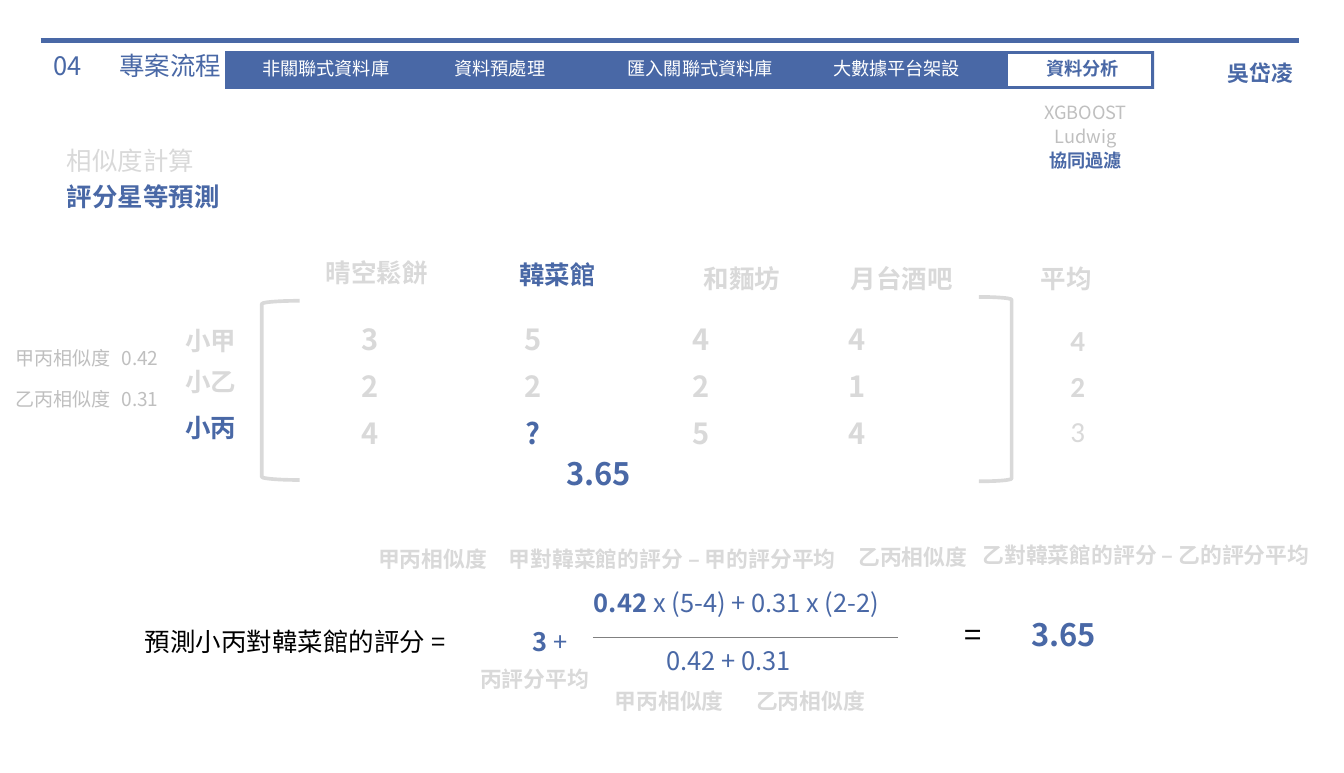
from lxml.etree import SubElement
from pptx import Presentation
from pptx.dml.color import RGBColor
from pptx.enum.shapes import MSO_CONNECTOR, MSO_SHAPE
from pptx.enum.text import MSO_ANCHOR, MSO_AUTO_SIZE, PP_ALIGN
from pptx.oxml.ns import qn
from pptx.util import Pt

PX = 9144  # 100 px to the inch
FONT = "Noto Sans CJK SC"
BLUE = RGBColor(0x49, 0x68, 0xA6)
PALE = RGBColor(0xD9, 0xD9, 0xD9)
SILVER = RGBColor(0xBF, 0xBF, 0xBF)
GRAY = RGBColor(0x80, 0x80, 0x80)
BLACK = RGBColor(0, 0, 0)
WHITE = RGBColor(0xFF, 0xFF, 0xFF)
LEFT, CENTER = PP_ALIGN.LEFT, PP_ALIGN.CENTER
ACTIVE = dict(color=BLUE, bold=True)


def px(*values):
    return [v * PX for v in values]


def write(tf, paras, size=12, color=PALE, bold=False, font=FONT,
          align=LEFT, spacing=1.0, tab=None):
    """Each paragraph is a list of (text, run format) pairs."""
    tf.word_wrap = True
    tf.vertical_anchor = MSO_ANCHOR.TOP
    for i, runs in enumerate(paras):
        p = tf.paragraphs[0] if i == 0 else tf.add_paragraph()
        pPr = p._p.get_or_add_pPr()
        pPr.set("marL", "0")
        pPr.set("indent", "0")
        SubElement(pPr, qn("a:buNone"))
        if tab:
            tabs = SubElement(pPr, qn("a:tabLst"))
            SubElement(tabs, qn("a:tab"), pos=str(tab * PX), algn="l")
        p.alignment, p.line_spacing = align, spacing
        p.space_before = p.space_after = Pt(0)
        for text, fmt in runs:
            r = p.add_run()
            r.text = text
            r.font.name = fmt.get("font", font)
            r.font.size = Pt(size)
            r.font.bold = fmt.get("bold", bold)
            r.font.color.rgb = fmt.get("color", color)
            SubElement(r._r.get_or_add_rPr(), qn("a:ea"), typeface=font)


def text(s, x, y, w, h, *paras, **fmt):
    tb = s.shapes.add_textbox(*px(x, y, w, h))
    write(tb.text_frame, [[(p, {})] if isinstance(p, str) else p for p in paras], **fmt)


def label(s, cx, y, words, **fmt):
    """One line centred on cx."""
    text(s, cx - 80, y, 160, 30, words, align=CENTER, **fmt)


def placeholder(sp, x, y, w, h, paras, **fmt):
    sp.left, sp.top, sp.width, sp.height = px(x, y, w, h)
    sp.text_frame.auto_size = MSO_AUTO_SIZE.NONE
    write(sp.text_frame, paras, **fmt)


def line(s, x1, x2, y, color, width):
    cn = s.shapes.add_connector(MSO_CONNECTOR.STRAIGHT, *px(x1, y, x2, y))
    cn.line.color.rgb, cn.line.width = color, Pt(width)
    SubElement(cn._element.spPr, qn("a:effectLst"))


def shape(s, kind, x, y, w, h, fill=None, outline=None, width=1):
    sp = s.shapes.add_shape(kind, *px(x, y, w, h))
    sp.shadow.inherit = False
    if fill is None:
        sp.fill.background()
    else:
        sp.fill.solid()
        sp.fill.fore_color.rgb = fill
    if outline is None:
        sp.line.fill.background()
    else:
        sp.line.color.rgb, sp.line.width = outline, Pt(width)


def header(s, x, y, w):
    line(s, x, x + w, y, BLUE, 3)
    placeholder(s.shapes.title, x, y + 2, 150, 34, [[("04\t專案流程", {})]],
                size=14, color=BLUE, tab=35)
    text(s, x + 885, y + 10, 94, 30, "吳岱凌", size=12, align=CENTER, **ACTIVE)

    # Step bar with the current step in white
    shape(s, MSO_SHAPE.RECTANGLE, x + 141, y + 8, 710, 29, BLUE)
    shape(s, MSO_SHAPE.RECTANGLE, x + 739, y + 10, 110, 25, WHITE, BLUE, 0.75)
    steps = {"非關聯式資料庫": 218, "資料預處理": 351, "匯入關聯式資料庫": 504, "大數據平台架設": 654}
    for step, cx in steps.items():
        label(s, x + cx, y + 8, step, size=10, color=WHITE)
    label(s, x + 796, y + 8, "資料分析", size=10, **ACTIVE)

    # Methods of the current step
    text(s, x + 747, y + 40, 103, 65, "XGBOOST", "Ludwig", [("協同過濾", ACTIVE)],
         size=10, color=SILVER, align=CENTER, spacing=1.1)


def topics(s, x, y):
    placeholder(s.placeholders[1], x, y, 158, 66,
                [[("相似度計算", {})], [("評分星等預測", ACTIVE)]], size=14, spacing=1.2)


def ratings(s, x, y):
    # Similarity to the predicted user
    for i, (pair, value) in enumerate([("甲丙相似度", "0.42"), ("乙丙相似度", "0.31")]):
        top = y + 68 + 31 * i
        text(s, x, top, 110, 29, pair, size=10.5, color=SILVER)
        label(s, x + 105, top, value, size=10.5, color=SILVER)

    # Users and restaurants
    for user, top, color in [("小甲", 52, PALE), ("小乙", 83, PALE), ("小丙", 118, BLUE)]:
        label(s, x + 159, y + top, user, size=14, bold=True, color=color)
    heads = [("晴空鬆餅", 286, 0, PALE), ("韓菜館", 424, 1, BLUE), ("和麵坊", 565, 4, PALE),
             ("月台酒吧", 687, 4, PALE), ("平均", 813, 4, PALE)]
    for head, cx, top, color in heads:
        label(s, x + cx, y + top, head, size=14, bold=True, color=color)

    # Score matrix
    scores = ["3544", "2221", "4?54"]
    widths = [124, 124, 134, 104]
    frame = s.shapes.add_table(3, 4, *px(x + 219, y + 48, sum(widths), 108))
    table = frame.table
    table.first_row = table.horz_banding = False
    for col, w in zip(table.columns, widths):
        col.width = w * PX
    for i, row in enumerate(scores):
        table.rows[i].height = 36 * PX
        for j, score in enumerate(row):
            cell = table.cell(i, j)
            cell.fill.background()
            cell.margin_left = cell.margin_right = cell.margin_top = cell.margin_bottom = 0
            write(cell.text_frame, [[(score, {})]], size=16, bold=True, align=CENTER,
                  color=BLUE if score == "?" else PALE)
            cell.vertical_anchor = MSO_ANCHOR.MIDDLE
    shape(s, MSO_SHAPE.LEFT_BRACKET, x + 198, y + 38, 29, 137, outline=PALE, width=2)
    shape(s, MSO_SHAPE.RIGHT_BRACKET, x + 746, y + 35, 25, 141, outline=PALE, width=2)

    # Averages and the predicted score
    text(s, x + 806, y + 42, 49, 114, [("4", {"bold": True})], [("2", {"bold": True})], "3",
         size=16, font="Calibri", spacing=1.3)
    text(s, x + 421, y + 151, 78, 39, "3.65", size=17, **ACTIVE)


def formula(s, x, y):
    text(s, x, y + 65, 293, 34, "預測小丙對韓菜館的評分 =", size=14, color=BLACK)
    text(s, x + 296, y + 65, 60, 34, [("3", ACTIVE), (" +", {})], size=14, color=BLUE)
    text(s, x + 343, y + 35, 260, 34, [("0.42", ACTIVE), (" x (5-4) + 0.31 x (2-2)", {})],
         size=14, color=BLUE)
    line(s, x + 352, x + 585, y + 78, GRAY, 0.25)
    label(s, x + 456, y + 79, "0.42 + 0.31", size=14, color=BLUE)
    text(s, x + 626, y + 57, 40, 39, "=", size=17, color=BLACK)
    text(s, x + 677, y + 57, 78, 39, "3.65", size=17, **ACTIVE)

    # Meaning of each term
    terms = [("甲丙相似度", 178, 3, 118), ("甲對韓菜館的評分 – 甲的評分平均", 278, 3, 290),
             ("乙丙相似度", 545, 2, 118), ("乙對韓菜館的評分 – 乙的評分平均", 640, 0, 284),
             ("丙評分平均", 256, 95, 118), ("甲丙相似度", 359, 112, 118),
             ("乙丙相似度", 467, 112, 118)]
    for term, left, top, w in terms:
        text(s, x + left, y + top, w, 30, term, size=12, bold=True)


def main():
    prs = Presentation()
    prs.slide_width, prs.slide_height = px(1027, 591)
    s = prs.slides.add_slide(prs.slide_layouts[1])
    header(s, 31, 31, 962)
    topics(s, 41, 101)
    ratings(s, 2, 192)
    formula(s, 101, 409)
    prs.save("out.pptx")


if __name__ == "__main__":
    main()
